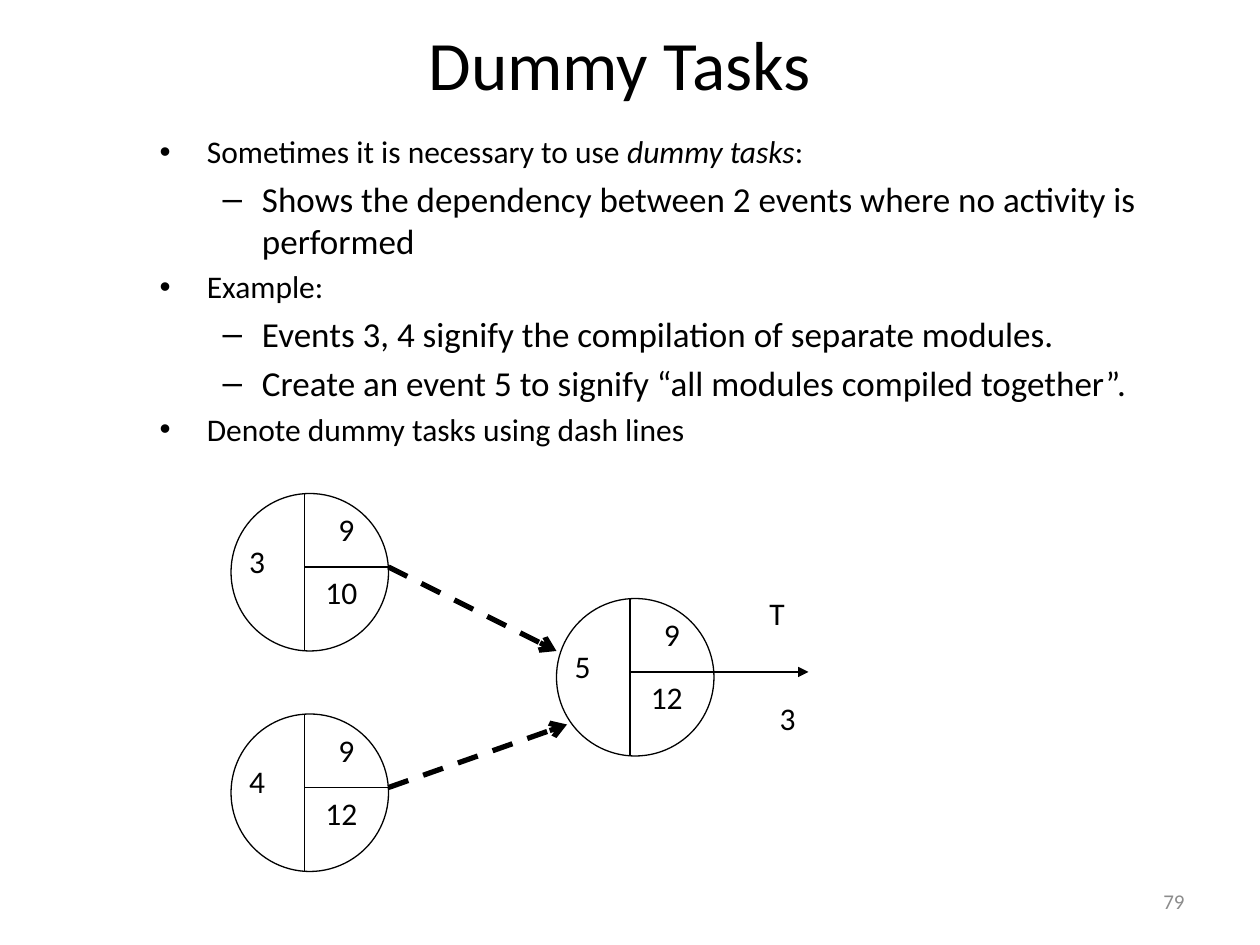
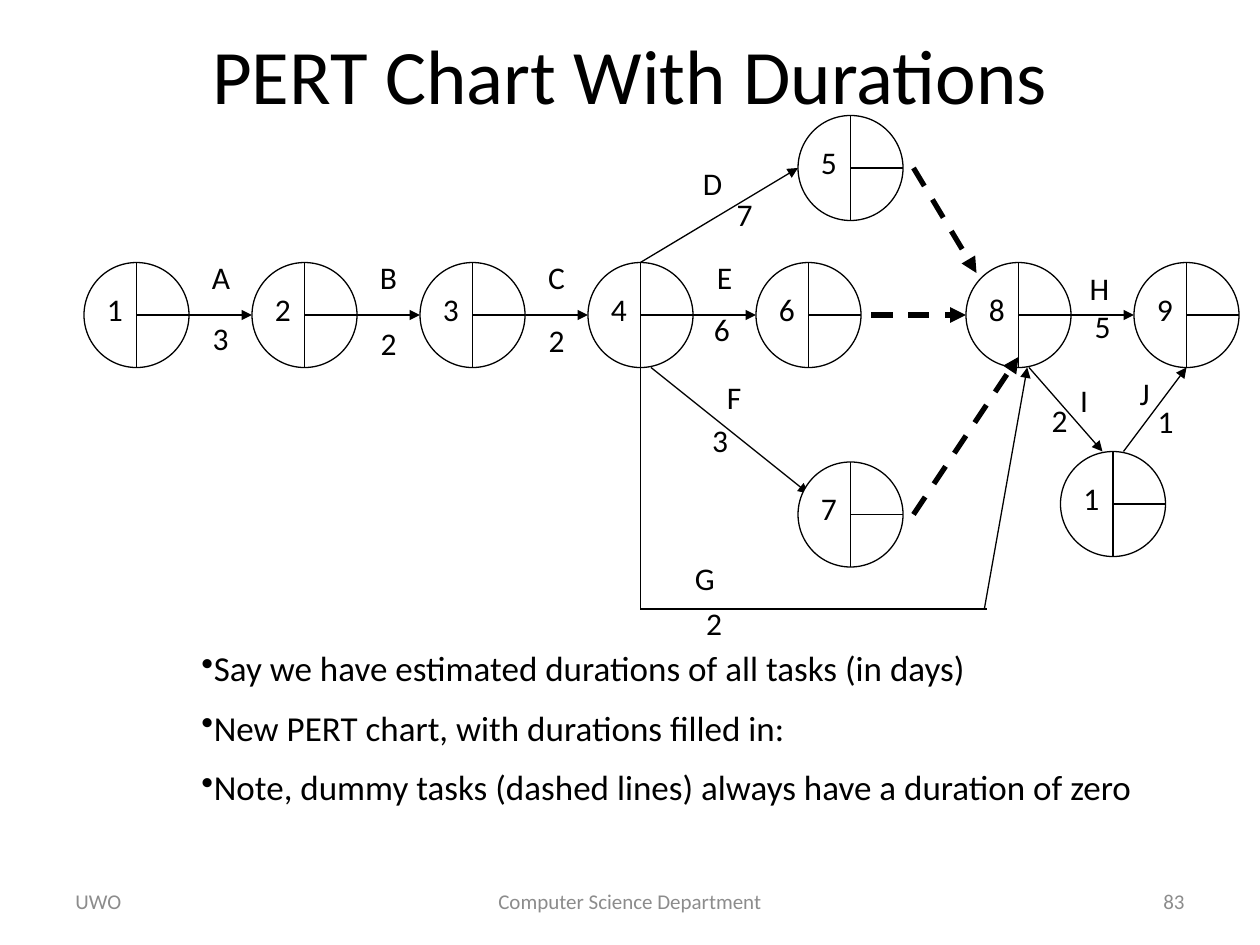
from pptx import Presentation
from pptx.dml.color import RGBColor
from pptx.enum.dml import MSO_LINE
from pptx.enum.shapes import MSO_CONNECTOR, MSO_SHAPE
from pptx.enum.text import MSO_ANCHOR, MSO_AUTO_SIZE, PP_ALIGN
from pptx.oxml.ns import qn
from pptx.util import Pt
from lxml import etree

LEFT, MID, RIGHT = PP_ALIGN.LEFT, PP_ALIGN.CENTER, PP_ALIGN.RIGHT
TOP, CENTER = MSO_ANCHOR.TOP, MSO_ANCHOR.MIDDLE
FIXED = MSO_AUTO_SIZE.NONE
OVAL, LINE, DASH = MSO_SHAPE.OVAL, MSO_CONNECTOR.STRAIGHT, MSO_LINE.DASH
FONT, INK, PAPER, GREY = "Calibri", "000000", "FFFFFF", "8C8C8C"

# Bullet text with its level; words between stars are italic.
POINTS = [
    ("Sometimes it is necessary to use *dummy tasks*:", 0),
    ("Shows the dependency between 2 events where no activity is performed", 1),
    ("Example:", 0),
    ("Events 3, 4 signify the compilation of separate modules.", 1),
    ("Create an event 5 to signify “all modules compiled together”.", 1),
    ("Denote dummy tasks using dash lines", 0),
]
NOTES = [
    "Say we have estimated durations of all tasks (in days)",
    "New PERT chart, with durations filled in:",
    "Note, dummy tasks (dashed lines) always have a duration of zero",
]

# Name, earliest, latest, left, top
STATES = [("3", "9", "10", 132, 282), ("4", "9", "12", 132, 408),
          ("5", "9", "12", 318, 342)]

# Events of the chart: the main row has a step of 96
ROW, STEP = 150, 96
EVENTS = [(name, 48 + STEP * i, ROW) for i, name in enumerate("12346")]
EVENTS += [("8", 552, ROW), ("9", 648, ROW),
           ("5", 456, 66), ("7", 456, 264), ("1", 606, 258)]

# Task, place of its name, days, place of its days
LABELS = [
    ("A", (114, 144), "3", (114, 178.5)),
    ("B", (210, 144), "2", (210, 181.5)),
    ("C", (306, 144), "2", (306, 180)),
    ("D", (394.5, 90), "7", (413.5, 108)),
    ("E", (402, 144), "6", (400.5, 173.5)),
    ("F", (407.5, 212.5), "3", (399.5, 237)),
    ("G", (390, 316), "2", (396, 341.5)),
    ("H", (615.5, 150), "5", (618, 172)),
    ("I", (607.5, 214), "2", (593.5, 225.5)),
    ("J", (642, 210), "1", (654, 226)),
]
TASKS = [((x, 180), (x + 36, 180)) for x in (108, 204, 300, 396, 612)]
TASKS += [((366, 150), (456, 96)), ((372, 210), (462, 282)),
          ((588, 210), (630, 258)), ((642, 258), (678, 210))]
DUMMIES = [((498, 180), (552, 180)), ((522, 96), (558, 156)),
           ((522, 294), (582, 204))]


def color(code):
    return RGBColor.from_string(code)


def write(para, words, size=18, ink=INK, align=LEFT, gap=0, dot=None):
    """Fill a paragraph; words between stars are set in italics."""
    para.alignment = align
    para.space_before = Pt(gap)
    if dot:
        mark = etree.SubElement(para._p.get_or_add_pPr(), qn("a:buChar"))
        mark.set("char", dot)
    for i, part in enumerate(words.split("*")):
        run = para.add_run()
        run.text = part
        font = run.font
        font.name, font.size, font.italic = FONT, Pt(size), i % 2 == 1
        font.color.rgb = color(ink)


def place(shape, x, y, w, h):
    shape.left, shape.top, shape.width, shape.height = map(Pt, (x, y, w, h))


def frame(slide, x, y, w, h, anchor=TOP):
    """Add a wrapping text box and return its text frame."""
    body = slide.shapes.add_textbox(*map(Pt, (x, y, w, h))).text_frame
    body.word_wrap = True
    body.vertical_anchor = anchor
    return body


def label(slide, words, x, y, w=24):
    write(frame(slide, x, y, w, 36).paragraphs[0], words, align=MID)


def footer(slide, words, x, w, align):
    body = frame(slide, x, 500.5, w, 28.5, CENTER)
    write(body.paragraphs[0], words, size=12, ink=GREY, align=align)


def title(slide, words, x, w, h, size):
    shape = slide.shapes.title
    place(shape, x, 12, w, h)
    body = shape.text_frame
    body.auto_size, body.vertical_anchor = FIXED, CENTER
    write(body.paragraphs[0], words, size=size, align=MID)


def line(slide, start, end, head=None, dash=False):
    link = slide.shapes.add_connector(LINE, *map(Pt, start + end))
    link.line.color.rgb = color(INK)
    link.line.width = Pt(3 if dash else 0.75)
    if dash:
        link.line.dash_style = DASH
    props = link._element.spPr
    if head:
        tip = etree.SubElement(props.find(qn("a:ln")), qn("a:tailEnd"))
        tip.set("type", head)
    etree.SubElement(props, qn("a:effectLst"))


def node(slide, x, y, size, split):
    """Draw a circle cut by a full upright and a half level line."""
    disc = slide.shapes.add_shape(OVAL, *map(Pt, (x, y, size, size)))
    disc.shadow.inherit = False
    disc.fill.solid()
    disc.fill.fore_color.rgb = color(PAPER)
    disc.line.color.rgb = color(INK)
    disc.line.width = Pt(0.75)
    line(slide, (x + split, y), (x + split, y + size))
    line(slide, (x + split, y + split), (x + size, y + split))


def state(slide, name, early, late, x, y):
    node(slide, x, y, 90, 42)
    label(slide, name, x, y + 24, 30)
    label(slide, early, x + 48, y + 6, 36)
    label(slide, late, x + 36, y + 42, 54)


def event(slide, name, x, y):
    node(slide, x, y, 60, 30)
    label(slide, name, x + 6, y + 12, 18)


def dummy_slide(deck):
    slide = deck.slides.add_slide(deck.slide_layouts[1])
    title(slide, "Dummy Tasks", 48, 612, 48, 39.6)
    shape = slide.placeholders[1]
    place(shape, 84, 72, 612, 216)
    body = shape.text_frame
    body.auto_size = FIXED
    for i, (words, level) in enumerate(POINTS):
        para = body.add_paragraph() if i else body.paragraphs[0]
        para.level = level
        size = 20 if level else 18
        write(para, words, size=size, gap=size * 0.2 if i else 0)
    for item in STATES:
        state(slide, *item)
    line(slide, (222, 450), (324, 414), "arrow", dash=True)
    line(slide, (222, 324), (318, 372), "arrow", dash=True)
    line(slide, (408, 384), (462, 384), "triangle")
    label(slide, "T", 420, 336, 48)
    label(slide, "3", 426, 396, 48)
    footer(slide, "79", 516, 168, RIGHT)


def chart_slide(deck):
    slide = deck.slides.add_slide(deck.slide_layouts[5])
    title(slide, "PERT Chart With Durations", 54, 612, 60, 44)
    for start, end in TASKS:
        line(slide, start, end, "triangle")
    for item in EVENTS:
        event(slide, *item)
    for start, end in DUMMIES:
        line(slide, start, end, "triangle", dash=True)
    line(slide, (366, 210), (366, 348))
    line(slide, (366, 348), (564, 348))
    line(slide, (562.5, 348), (587, 210), "triangle")
    for task, spot, days, below in LABELS:
        label(slide, task, *spot)
        label(slide, days, *below)
    body = frame(slide, 108, 366, 600, 103)
    for i, words in enumerate(NOTES):
        para = body.add_paragraph() if i else body.paragraphs[0]
        write(para, words, size=20, gap=10 if i else 0, dot="•")
    footer(slide, "UWO", 36, 168, LEFT)
    footer(slide, "Computer Science Department", 246, 228, MID)
    footer(slide, "83", 516, 168, RIGHT)


def main():
    deck = Presentation()
    deck.slide_width, deck.slide_height = Pt(720), Pt(540)
    dummy_slide(deck)
    chart_slide(deck)
    deck.save("out.pptx")


if __name__ == "__main__":
    main()
